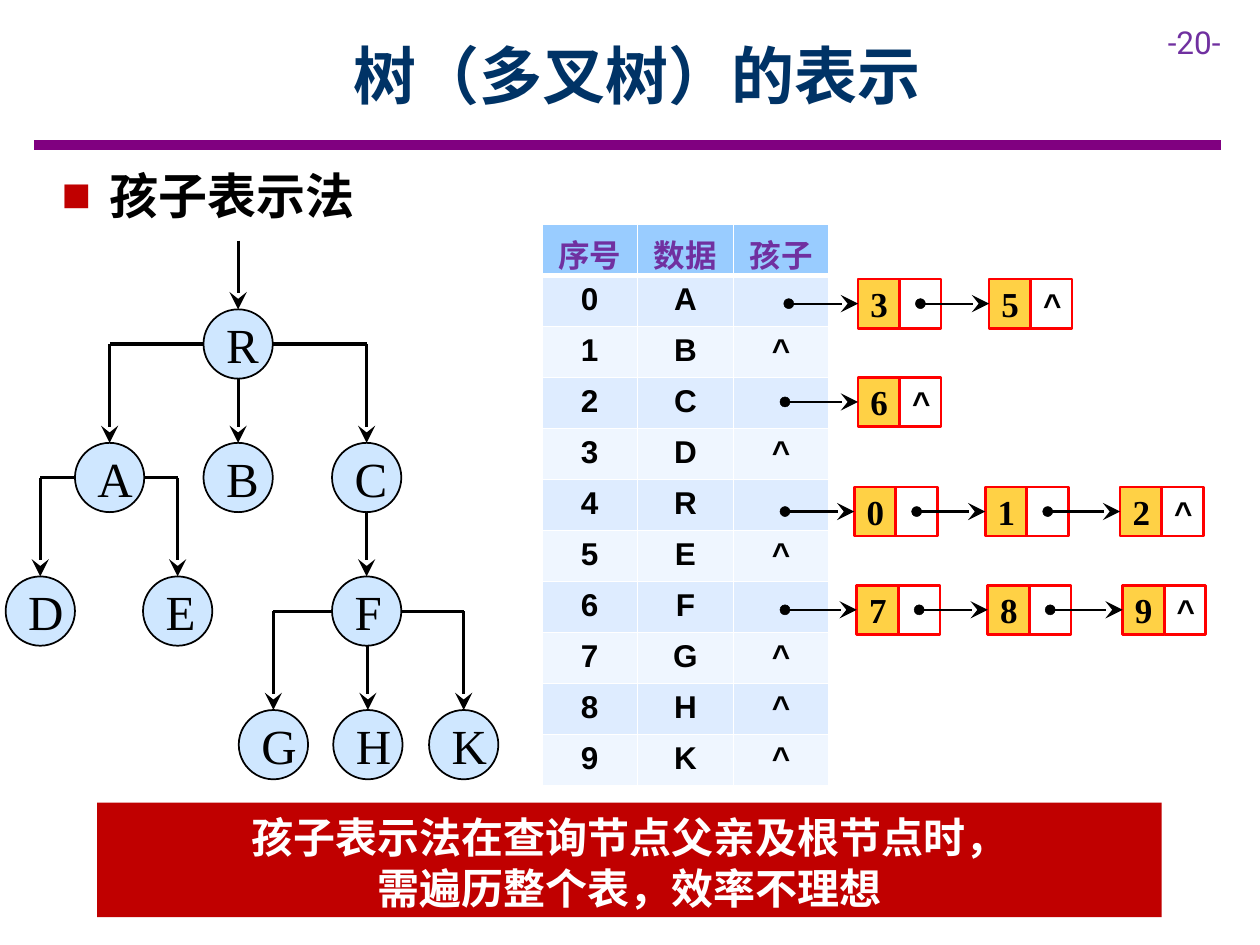
from dataclasses import dataclass

from lxml import etree
from pptx import Presentation
from pptx.dml.color import RGBColor
from pptx.enum.shapes import MSO_CONNECTOR, MSO_SHAPE
from pptx.enum.text import MSO_ANCHOR, PP_ALIGN
from pptx.oxml.ns import qn
from pptx.util import Inches, Pt

STRAIGHT = MSO_CONNECTOR.STRAIGHT
OVAL, RECTANGLE = MSO_SHAPE.OVAL, MSO_SHAPE.RECTANGLE
TOP, MIDDLE = MSO_ANCHOR.TOP, MSO_ANCHOR.MIDDLE
LEFT, CENTER = PP_ALIGN.LEFT, PP_ALIGN.CENTER


@dataclass(frozen=True)
class Theme:
    """Colours, fonts and type sizes of the deck."""
    black: str = "000000"
    white: str = "FFFFFF"
    navy: str = "003366"
    purple: str = "7030A0"
    rule: str = "800080"
    red: str = "C00000"
    outline: str = "FF0000"
    amber: str = "FFC000"
    sky: str = "99CCFF"
    bands: tuple = ("DEECFF", "EFF6FF")
    chinese: str = "Noto Sans CJK SC"
    serif: str = "Times New Roman"
    sans: str = "Arial"
    number: str = "Roboto"
    title: int = 36
    heading: int = 28
    banner: int = 24
    key: int = 20
    body: int = 18


THEME = Theme()


def add_element(parent, tag, **attributes):
    """Append a drawing element and return it."""
    return etree.SubElement(parent, qn(tag), attributes)


def write(frame, text, size, color, font, bold=False, align=CENTER, anchor=TOP):
    """Put styled text into a text frame."""
    frame.text = text
    frame.word_wrap = True
    frame.vertical_anchor = anchor
    for para in frame.paragraphs:
        para.alignment = align
        for span in para.runs:
            span.font.size = Pt(size)
            span.font.bold = bold
            span.font.name = font
            span.font.color.rgb = RGBColor.from_string(color)
            add_element(span.font._element, "a:ea", typeface=THEME.chinese)


def add_box(page, kind, box, fill=None, alpha=100, line=None, width=1):
    """Add a preset shape with the given fill and outline."""
    shape = page.shapes.add_shape(kind, *map(Inches, box))
    shape.shadow.inherit = False
    if fill:
        shape.fill.solid()
        shape.fill.fore_color.rgb = RGBColor.from_string(fill)
        if alpha < 100:
            color = shape.fill._xPr.find(".//" + qn("a:srgbClr"))
            add_element(color, "a:alpha", val=str(alpha * 1000))
    else:
        shape.fill.background()
    if line:
        shape.line.color.rgb = RGBColor.from_string(line)
        shape.line.width = Pt(width)
    else:
        shape.line.fill.background()
    return shape


def add_label(page, kind, box, text, size, font, bold=False, **style):
    """Add a shape with middle-anchored text and even insets."""
    shape = add_box(page, kind, box, **style)
    frame = shape.text_frame
    frame.margin_left = frame.margin_right = Inches(0.1)
    frame.margin_top = frame.margin_bottom = Inches(0.1)
    write(frame, text, size, THEME.black, font, bold, anchor=MIDDLE)
    return shape


def add_line(page, start, end, width, color=THEME.black, arrow=False):
    """Add a straight connector, with an arrowhead at its end if asked."""
    line = page.shapes.add_connector(STRAIGHT, *map(Inches, (*start, *end)))
    line.line.color.rgb = RGBColor.from_string(color)
    line.line.width = Pt(width)
    if arrow:
        add_element(line.line._get_or_add_ln(), "a:tailEnd",
                    type="stealth", w="lg", len="lg")
    add_element(line._element.spPr, "a:effectLst")
    return line


def add_text(page, box, *style, **options):
    """Add a text box and return its frame."""
    frame = page.shapes.add_textbox(*map(Inches, box)).text_frame
    write(frame, *style, **options)
    return frame


def draw_header(page, left, top, width):
    """Place the title, page number and rule."""
    add_line(page, (left, top + 1.15), (left + width, top + 1.15), 6, THEME.rule)
    add_text(page, (left + 8.9, top + 0.13, 0.83, 0.4), "-20-", THEME.body,
             THEME.purple, THEME.number, align=LEFT)
    add_text(page, (left + 0.63, top + 0.09, 8.31, 1), "树（多叉树）的表示",
             THEME.title, THEME.navy, THEME.chinese, bold=True, anchor=MIDDLE)


def draw_heading(page, box):
    """Place the bulleted heading."""
    frame = add_text(page, box, "孩子表示法", THEME.heading, THEME.black,
                     THEME.chinese, bold=True, align=LEFT)
    frame.margin_top = Inches(0.08)
    para = frame.paragraphs[0]
    para.line_spacing = Pt(34)
    para.space_after = Pt(6)
    properties = para._p.get_or_add_pPr()
    properties.set("marL", str(Inches(0.38)))
    properties.set("indent", str(-Inches(0.38)))
    add_element(add_element(properties, "a:buClr"), "a:srgbClr", val=THEME.red)
    add_element(properties, "a:buFont", typeface=THEME.sans)
    add_element(properties, "a:buChar", char="■")


def draw_tree(page, left, top):
    """Draw the tree with elbow edges from each parent to its children."""
    size, step, width = 0.55, 1.06, 1.75
    radius = size / 2
    nodes = {"R": (1.85, 0, None), "A": (0.83, 1, "R"), "B": (1.85, 1, "R"),
             "C": (2.87, 1, "R"), "D": (0.28, 2, "A"), "E": (1.37, 2, "A"),
             "F": (2.87, 2, "C"), "G": (2.13, 3, "F"), "H": (2.88, 3, "F"),
             "K": (3.64, 3, "F")}
    centers = {name: (left + x, top + 0.82 + level * step)
               for name, (x, level, _) in nodes.items()}
    for name, (x, y) in centers.items():
        add_label(page, OVAL, (x - radius, y - radius, size, size), name,
                  THEME.heading, THEME.serif, fill=THEME.sky, alpha=47,
                  line=THEME.black)
        parent = nodes[name][2]
        if parent is None:
            start = top
        else:
            parent_x, parent_y = centers[parent]
            offset = x - parent_x
            start = parent_y + radius
            if abs(offset) > radius:
                start = parent_y
                edge = parent_x + (radius if offset > 0 else -radius)
                add_line(page, (edge, start), (x, start), width)
        add_line(page, (x, start), (x, y - radius), width, arrow=True)


def draw_table(page, box):
    """Place the node table with its header and two row bands."""
    rows = [("序号", "数据", "孩子")]
    rows += [(str(index), name, "" if name in "ACRF" else "^")
             for index, name in enumerate("ABCDREFGHK")]
    table = page.shapes.add_table(len(rows), 3, *map(Inches, box)).table
    for r, row in enumerate(rows):
        for c, text in enumerate(row):
            cell = table.cell(r, c)
            header = r == 0
            write(cell.text_frame, text, THEME.body,
                  THEME.purple if header else THEME.black,
                  THEME.chinese if header else THEME.sans, bold=True)
            if header:
                cell.margin_bottom = 0
            properties = cell._tc.get_or_add_tcPr()
            for side in "LRTB":
                thick = (header and side == "B") or (r == 1 and side == "T")
                border = add_element(properties, "a:ln" + side,
                                     w=str(Pt(3 if thick else 1)))
                add_element(add_element(border, "a:solidFill"), "a:srgbClr",
                            val=THEME.white)
            cell.fill.solid()
            color = THEME.sky if header else THEME.bands[(r - 1) % 2]
            cell.fill.fore_color.rgb = RGBColor.from_string(color)


def draw_chain(page, left, middle, dot_x, keys):
    """Draw one linked list of children, starting from a dot in the table."""
    width, height, dot = 0.33, 0.39, 0.08
    top = middle - height / 2
    for key, offset in zip(keys, (0, 1.04, 2.11)):
        x = left + offset
        cell = add_label(page, RECTANGLE, (x, top, width, height), key,
                         THEME.key, THEME.serif, True, fill=THEME.amber,
                         alpha=73, line=THEME.outline, width=1.5)
        add_label(page, RECTANGLE, (x + width, top, width, height),
                  "^" if key == keys[-1] else "", THEME.body, THEME.sans, True,
                  line=THEME.outline, width=1.5)
        add_box(page, OVAL, (dot_x - dot / 2, middle - dot / 2, dot, dot),
                fill=THEME.black, line=THEME.black, width=0.25)
        arrow = add_line(page, (dot_x, middle), (x, middle), 1.25, arrow=True)
        arrow.end_connect(cell, 1)
        dot_x = x + 1.5 * width


def draw_banner(page, box):
    """Place the closing remark on a red bar."""
    frame = add_box(page, RECTANGLE, box, fill=THEME.red).text_frame
    write(frame, "孩子表示法在查询节点父亲及根节点时，\n需遍历整个表，效率不理想",
          THEME.banner, THEME.white, THEME.serif, bold=True)
    frame.margin_top = Inches(0.07)
    for para in frame.paragraphs:
        para.line_spacing = Pt(29)


def main():
    """Build and save the slide."""
    deck = Presentation()
    deck.slide_width, deck.slide_height = Inches(10), Inches(7.5)
    page = deck.slides.add_slide(deck.slide_layouts[6])
    draw_header(page, 0.27, 0, 9.42)
    draw_heading(page, (0.39, 1.23, 3.43, 0.57))
    draw_tree(page, 0.04, 1.91)
    draw_table(page, (4.3, 1.78, 2.28, 4.46))
    draw_banner(page, (0.77, 6.37, 8.45, 0.91))
    for chain in ((6.81, 2.41, 6.26, "35"), (6.81, 3.19, 6.23, "6"),
                  (6.78, 4.06, 6.23, "012"), (6.8, 4.84, 6.23, "789")):
        draw_chain(page, *chain)
    deck.save("out.pptx")


if __name__ == "__main__":
    main()
